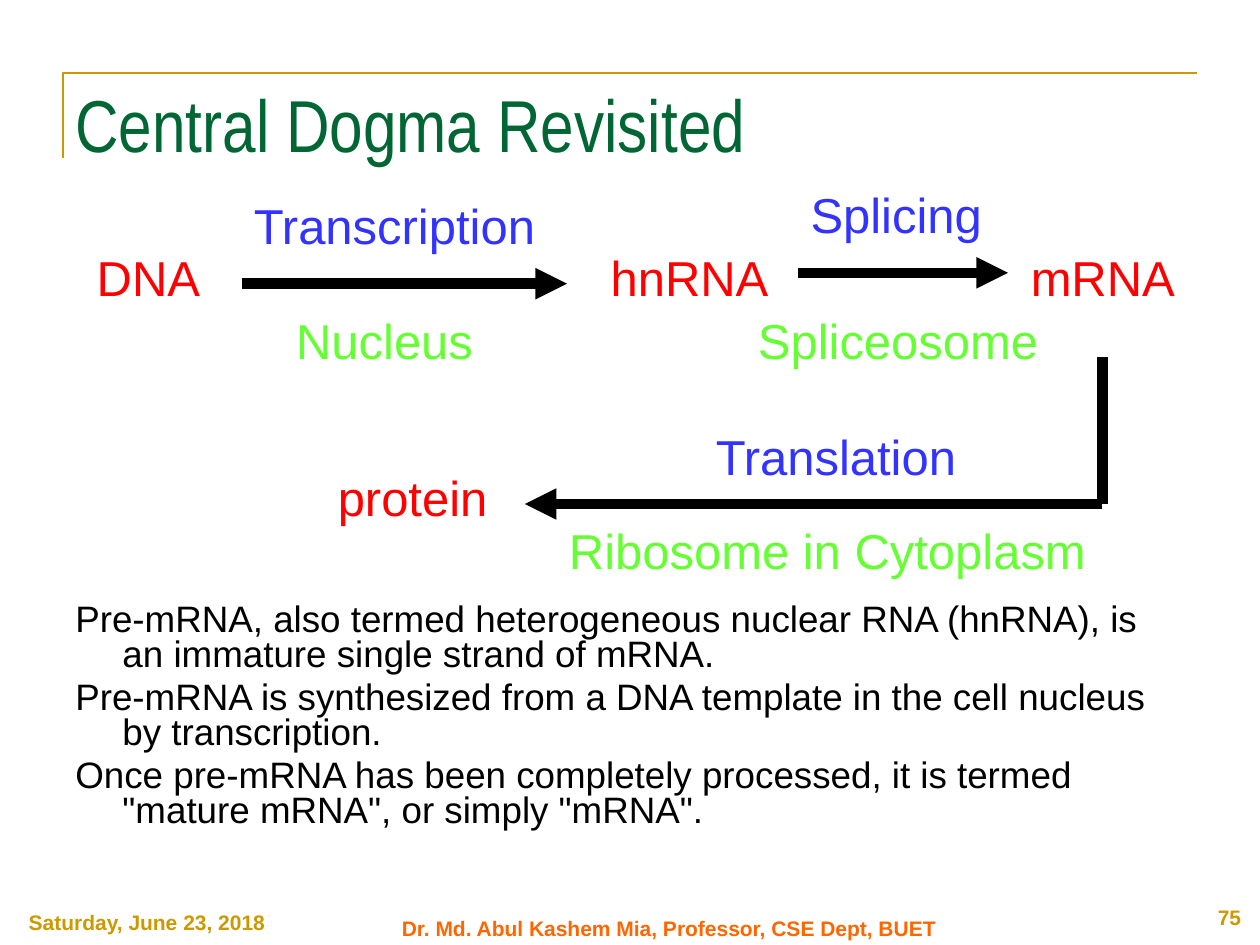
"""Build the slide on the central dogma, from DNA to protein."""
from lxml.etree import SubElement
from pptx import Presentation
from pptx.dml.color import RGBColor
from pptx.enum.shapes import MSO_CONNECTOR as Link
from pptx.enum.text import MSO_ANCHOR as Anchor, MSO_AUTO_SIZE as Auto, PP_ALIGN as Align
from pptx.oxml.ns import qn
from pptx.util import Cm, Pt

GOLD = RGBColor(0xCC, 0x99, 0x00)
ORANGE = RGBColor(0xFF, 0x66, 0x00)
PINE = RGBColor(0x00, 0x66, 0x33)
RED = RGBColor(0xFF, 0x00, 0x00)
BLUE = RGBColor(0x33, 0x33, 0xFF)
LIME = RGBColor(0x66, 0xFF, 0x33)
BLACK = RGBColor(0x00, 0x00, 0x00)

LEFT, TOP, WIDE = 1.27, 1.47, 22.86
BEND = 22.22, 10.16

LABELS = [
    ("DNA", RED, 1.7, 4.87, 2.59),
    ("hnRNA", RED, 12.06, 4.87, 3.71),
    ("mRNA", RED, 20.53, 4.87, 3.43),
    ("protein", RED, 6.56, 9.31, 3.53),
    ("Transcription", BLUE, 4.87, 3.81, 6.22),
    ("Splicing", BLUE, 16.09, 3.6, 3.99),
    ("Translation", BLUE, 14.18, 8.47, 5.41),
    ("Nucleus", LIME, 5.72, 6.14, 4.09),
    ("Spliceosome", LIME, 15.03, 6.14, 6.17),
    ("Ribosome in Cytoplasm", LIME, 11.22, 10.37, 10.97),
]
STEPS = [
    ((4.87, 5.72), (11.43, 5.72), True),
    ((16.09, 5.5), (20.32, 5.5), True),
    ((22.22, 7.2), BEND, False),
    (BEND, (10.58, 10.16), True),
]
NOTES = [
    "Pre-mRNA, also termed heterogeneous nuclear RNA (hnRNA), is an immature single strand of mRNA.",
    "Pre-mRNA is synthesized from a DNA template in the cell nucleus by transcription.",
    'Once pre-mRNA has been completely processed, it is termed "mature mRNA", or simply "mRNA".',
]


def apply(item, form):
    """Set each named format value on an item."""
    for key, val in form.items():
        setattr(item, key, val)


def add_text(slide, lines, area, size, color, font=None, para=None, frame=None):
    """Add a text box with one paragraph per line and return its paragraphs."""
    box = slide.shapes.add_textbox(*map(Cm, area)).text_frame
    apply(box, {"word_wrap": True, **(frame or {})})
    box.text = "\n".join(lines)
    for row in box.paragraphs:
        apply(row, para or {})
        apply(row.font, {"name": "Arial", "size": Pt(size), **(font or {})})
        row.font.color.rgb = color
    return box.paragraphs


def add_notes(slide):
    """Add the hanging paragraphs below the diagram."""
    form = {"line_spacing": 0.8, "space_before": Pt(4.2)}
    rows = add_text(slide, NOTES, (LEFT, 12.06, WIDE, 4.95), 21, BLACK, para=form)
    rows[0].space_before = Pt(0)
    for row in rows:
        props = row._p.get_or_add_pPr()
        props.set("marL", str(Cm(0.95)))
        props.set("indent", str(-Cm(0.95)))


def add_step(slide, start, end, head):
    """Add a thick line, with an arrowhead at its end if asked."""
    step = slide.shapes.add_connector(Link.STRAIGHT, *map(Cm, start + end))
    step.line.color.rgb = BLACK
    step.line.width = Pt(6)
    if head:
        SubElement(step.line._get_or_add_ln(), qn("a:tailEnd"), type="triangle")
    SubElement(step._element.spPr, qn("a:effectLst"))


def add_rule(slide):
    """Add the gold corner rule around the title."""
    path = slide.shapes.build_freeform(Cm(LEFT), Cm(3.18))
    path.add_line_segments([(Cm(LEFT), Cm(TOP)), (Cm(LEFT + WIDE), Cm(TOP))], close=False)
    rule = path.convert_to_shape()
    rule.shadow.inherit = False
    rule.fill.background()
    rule.line.color.rgb = GOLD
    rule.line.width = Pt(1.5)


def add_footer(slide):
    """Add the author, date and page number."""
    bold = {"bold": True}
    add_text(slide, ["Dr. Md. Abul Kashem Mia, Professor, CSE Dept, BUET"],
             (7.85, 18.49, 11.86, 0.46), 12, ORANGE, bold,
             frame={"word_wrap": False, "vertical_anchor": Anchor.MIDDLE})
    add_text(slide, ["Saturday, June 23, 2018"], (0.33, 18.21, 7.06, 0.64), 12, GOLD, bold)
    add_text(slide, ["75"], (19.35, 18.11, 5.92, 0.69), 12, GOLD, bold,
             {"alignment": Align.RIGHT})


def main():
    """Build and save the slide."""
    deck = Presentation()
    apply(deck, {"slide_width": Cm(25.4), "slide_height": Cm(19.05)})
    slide = deck.slides.add_slide(deck.slide_layouts[6])
    add_rule(slide)
    add_footer(slide)
    add_text(slide, ["Central Dogma Revisited"], (LEFT, TOP, WIDE, 2.46), 42, PINE,
             {"name": "Arial Narrow"})
    add_notes(slide)
    fit = {"word_wrap": False, "auto_size": Auto.SHAPE_TO_FIT_TEXT}
    for text, color, left, top, wide in LABELS:
        add_text(slide, [text], (left, top, wide, 1.45), 28, color, frame=fit)
    for step in STEPS:
        add_step(slide, *step)
    deck.save("out.pptx")


if __name__ == "__main__":
    main()
